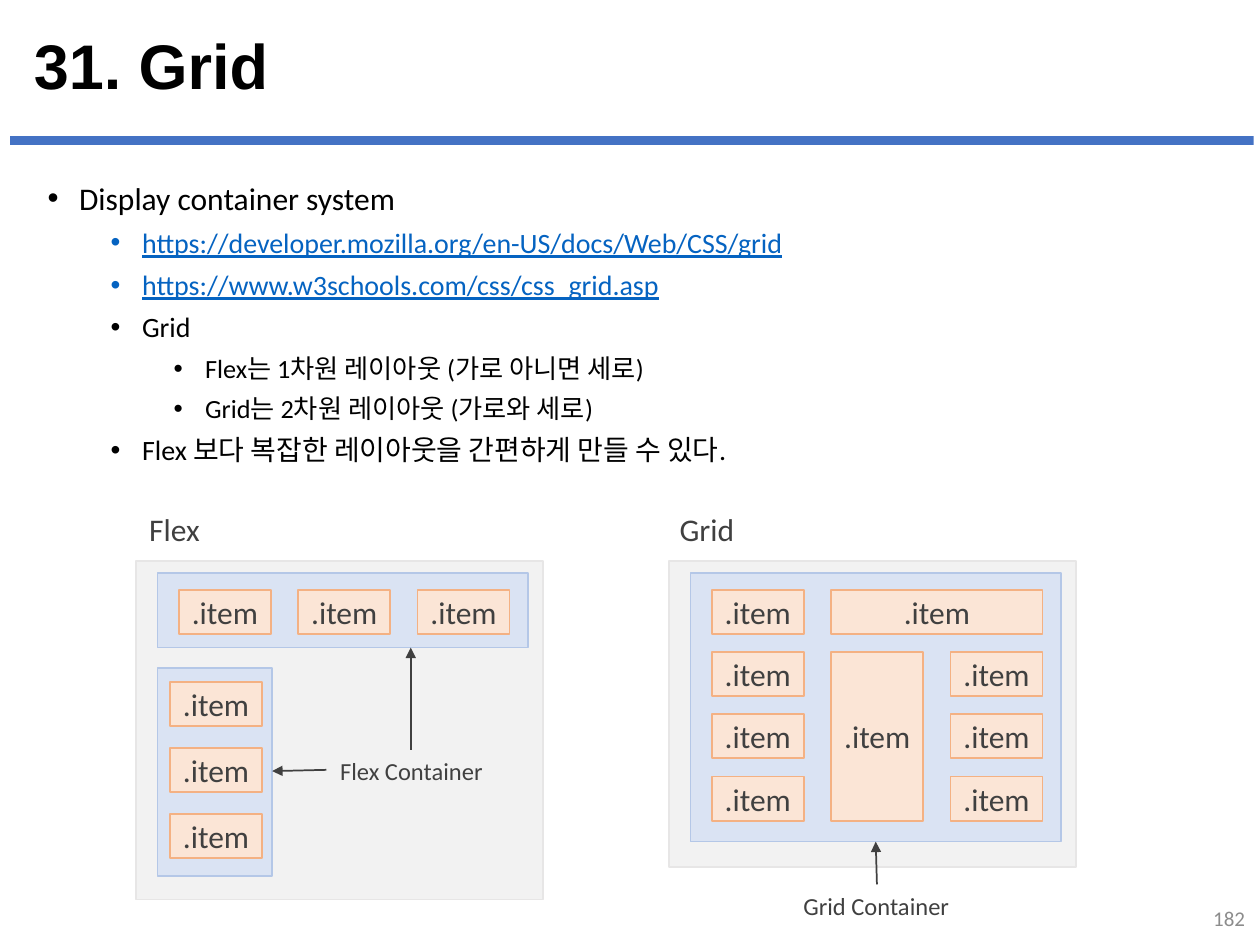
from lxml import etree
from pptx import Presentation
from pptx import util as u
from pptx.dml.color import RGBColor
from pptx.enum import shapes, text
from pptx.oxml.ns import qn

Pt = u.Pt
DARK = "404040"
LEFT, MID, RIGHT = text.PP_ALIGN.LEFT, text.PP_ALIGN.CENTER, text.PP_ALIGN.RIGHT

pres = Presentation()
pres.slide_width, pres.slide_height = Pt(720), Pt(540)
slide = pres.slides.add_slide(pres.slide_layouts[6])
rgb = RGBColor.from_string


def box(x, y, w, h, fill, edge=None, label=None):
    shape = slide.shapes.add_shape(
        shapes.MSO_SHAPE.RECTANGLE, Pt(x), Pt(y), Pt(w), Pt(h))
    shape.shadow.inherit = False
    shape.fill.solid()
    shape.fill.fore_color.rgb = rgb(fill)
    if edge:
        shape.line.color.rgb = rgb(edge)
        shape.line.width = Pt(1)
    else:
        shape.line.fill.background()
    if label:
        para = shape.text_frame.paragraphs[0]
        para.text, para.alignment = label, MID
        para.font.name, para.font.size = "Calibri", Pt(18)
        para.font.color.rgb = rgb(DARK)


def write(x, y, w, h, words, size, color=DARK, align=MID, wrap=False):
    frame = slide.shapes.add_textbox(Pt(x), Pt(y), Pt(w), Pt(h)).text_frame
    frame.word_wrap = wrap
    frame.vertical_anchor = text.MSO_ANCHOR.MIDDLE
    para = frame.paragraphs[0]
    para.text, para.alignment = words, align
    para.font.name, para.font.size = "Calibri", Pt(size)
    para.font.color.rgb = rgb(color)
    return para


# Title, rule and page number
box(5.76, 77.76, 710.64, 5.04, "4472C4")
title = write(12.24, 15.84, 695.52, 47.52, "31. Grid", 36, "000000", LEFT, True)
title.font.name, title.font.bold, title.line_spacing = "Arial", True, 0.9
write(556.56, 510.48, 162, 28.8, "182", 12, "8C8C8C", RIGHT, True)

# Bullet list: level, size, words
items = [
    (0, 18, "Display container system"),
    (1, 16, "https://developer.mozilla.org/en-US/docs/Web/CSS/grid"),
    (1, 16, "https://www.w3schools.com/css/css_grid.asp"),
    (1, 16, "Grid"),
    (2, 15, "Flex는 1차원 레이아웃 (가로 아니면 세로)"),
    (2, 15, "Grid는 2차원 레이아웃 (가로와 세로)"),
    (1, 16, "Flex 보다 복잡한 레이아웃을 간편하게 만들 수 있다."),
]
body = slide.shapes.add_textbox(
    Pt(20.16), Pt(98.64), Pt(676.8), Pt(431.28)).text_frame
body.word_wrap = True
for i, (level, size, words) in enumerate(items):
    para = body.add_paragraph() if i else body.paragraphs[0]
    para.text, para.level = words, level
    props = para._p.get_or_add_pPr()
    props.set("marL", str(Pt(18 + 36 * level)))
    props.set("indent", str(-Pt(18)))
    etree.SubElement(props, qn("a:buFont")).set("typeface", "Arial")
    etree.SubElement(props, qn("a:buChar")).set("char", "•")
    if i:
        para.space_before = Pt(5)
    link = words.startswith("https")
    para.font.name, para.font.size = "Calibri", Pt(size)
    para.font.underline = link
    para.font.color.rgb = rgb("0563C1" if link else "000000")

# Panels and the containers on them
for x, h in ((77.76, 193.68), (382.32, 174.96)):
    box(x, 320.4, 232.56, h, "F2F2F2", "E7E6E6")
for x, y, w, h in ((90, 327.6, 211.68, 42.48), (90, 381.6, 65.52, 118.8),
                   (394.56, 327.6, 211.68, 153.36)):
    box(x, y, w, h, "DAE3F3", "B4C7E7")

# Items: flex row, flex column, then grid cells with their spans
W, H, DX, DY = 52.56, 25.2, 68.2, 35.6
TOP = 336.96
cells = [(102.24 + i * DX, TOP, W, H) for i in range(3)]
cells += [(97.2, 389.52 + i * 37.8, W, H) for i in range(3)]
spans = [(0, 0, 1, 1), (1, 0, 2, 1), (1, 1, 1, 3)]
spans += [(col, row, 1, 1) for row in (1, 2, 3) for col in (0, 2)]
for col, row, wide, high in spans:
    cells.append((406.8 + col * DX, TOP + row * DY,
                  W + (wide - 1) * DX, H + (high - 1) * DY))
for cell in cells:
    box(*cell, "FBE5D6", "F4B183", ".item")

# Headings and captions
write(77.76, 288, 43.92, 28.8, "Flex", 18)
write(380.88, 288, 46.08, 28.8, "Grid", 18)
write(186.48, 428.4, 97.2, 24.48, "Flex Container", 14)
write(451.44, 505.44, 98.64, 24.48, "Grid Container", 14)

# Arrows from captions to containers
for ends in ((234.72, 428.4, 234.72, 370.08), (186.48, 439.92, 155.52, 440.64),
             (501.12, 505.44, 500.4, 480.96)):
    arrow = slide.shapes.add_connector(
        shapes.MSO_CONNECTOR.STRAIGHT, *[Pt(v) for v in ends])
    arrow.line.color.rgb = rgb(DARK)
    arrow.line.width = Pt(1)
    etree.SubElement(arrow.line._get_or_add_ln(),
                     qn("a:tailEnd")).set("type", "triangle")
    etree.SubElement(arrow._element.spPr, qn("a:effectLst"))

pres.save("out.pptx")
